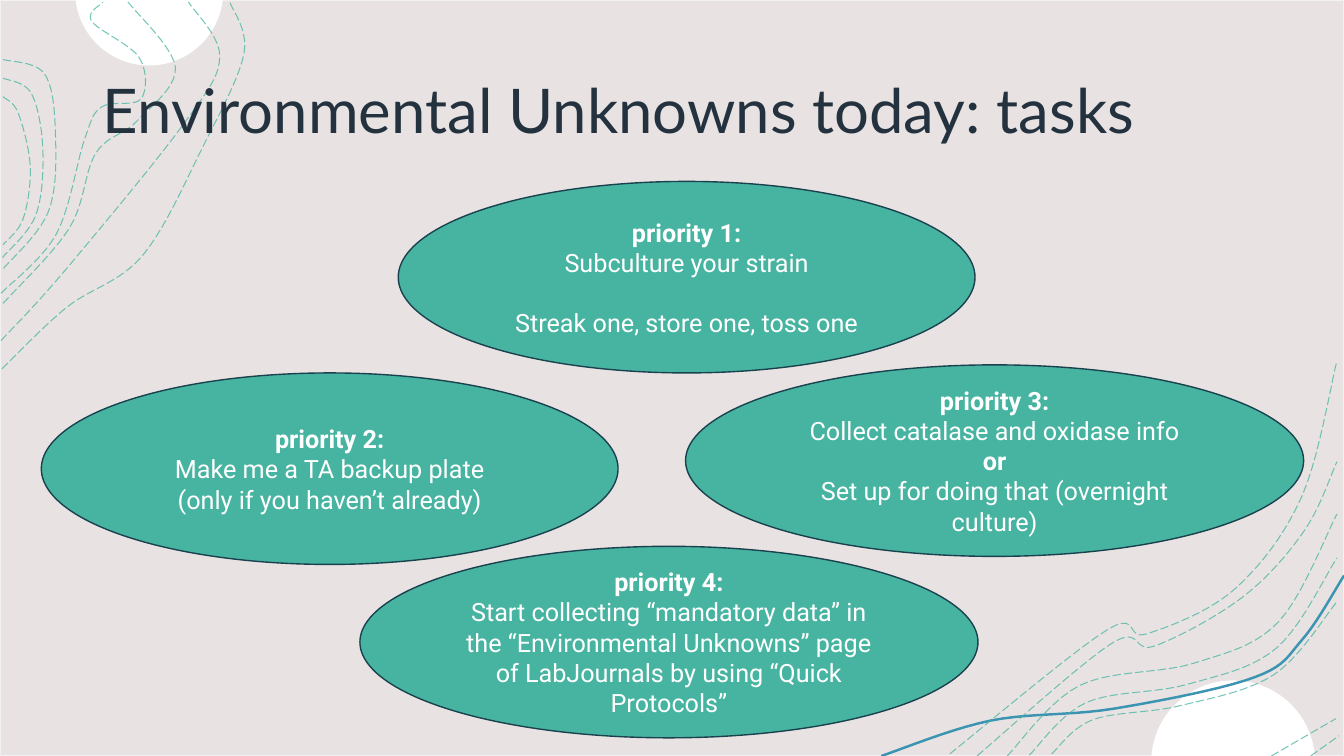
from dataclasses import dataclass
from math import asin, cos, sin

from lxml.etree import SubElement
from pptx import Presentation
from pptx.dml.color import RGBColor
from pptx.enum.dml import MSO_LINE
from pptx.enum.shapes import MSO_SHAPE
from pptx.enum.text import MSO_ANCHOR, PP_ALIGN
from pptx.oxml.ns import qn
from pptx.util import Inches, Pt


@dataclass(frozen=True)
class Theme:
    sand: str = "E8E3E2"
    edge: str = "F2F2F2"
    white: str = "FFFFFF"
    teal: str = "46B4A1"
    deep: str = "1A414E"
    blue: str = "3B94B1"
    ink: str = "23323E"
    head: str = "Lato"
    body: str = "Roboto"
    big: int = 44
    text: int = 18


THEME = Theme()
WIDE, HIGH = 13.33, 7.5

RIBBON = [(8.74, 7.5), (9.82, 7.15), (11.05, 7.03), (12.44, 6.72),
          (12.92, 6.34), (13.33, 5.71)]

HILLS = [
    [(0.02, 3.66), (0.66, 3.05), (1.41, 2.54), (2.01, 1.46), (2.42, 0.53),
     (2.28, 0.02)],
    [(0.01, 3.38), (0.64, 2.69), (1.83, 1.22), (2.18, 0.56), (1.87, 0.02)],
    [(0.03, 3.01), (0.69, 2.26), (0.95, 1.52), (1.36, 1.2), (1.74, 0.67),
     (1.27, 0.02)],
    [(0.01, 2.91), (0.56, 2.32), (0.84, 1.38), (1.01, 1.06), (1.4, 0.98),
     (1.38, 0.57), (0.91, 0.21), (1.02, 0.02)],
]

BANDS = [
    (3, [(0.03, 0.59), (0.44, 0.73), (0.55, 1.32), (0.48, 2.1), (0.02, 2.68)],
     [(0.03, 0.96), (0.18, 1.12), (0.3, 1.65), (0.23, 2.17), (0.03, 2.43)]),
    (2, [(9.42, 7.48), (10.98, 6.25), (11.37, 6.29), (12.24, 5.85),
         (12.91, 4.93), (13.26, 3.58)],
     [(9.69, 7.5), (11.03, 6.38), (11.45, 6.41), (12.33, 5.92),
      (12.94, 5.26), (13.26, 4.58)]),
    (3, [(9.99, 7.5), (10.71, 6.8), (11.84, 6.58), (12.68, 6.17), (13.26, 5.1)],
     [(10.43, 7.48), (10.84, 7.14), (11.71, 7), (12.64, 6.69), (13.26, 5.97)]),
    (2, [(12.61, 7.5), (13.25, 7.13)], [(13, 7.5), (13.28, 7.3)]),
]

TASKS = [
    (3.95, 1.8, 5.72, ["Subculture your strain", "Streak one, store one, toss one"]),
    (0.41, 3.7, 5.72, ["Make me a TA backup plate", "(only if you haven’t already)"]),
    (6.8, 3.62, 6.13, ["Collect catalase and oxidase info", "or",
                       "Set up for doing that (overnight culture)"]),
    (3.57, 5.42, 6.13, ["Start collecting “mandatory data” in the “Environmental "
                        "Unknowns” page of LabJournals by using “Quick Protocols”"]),
]


def color(code):
    return RGBColor.from_string(code)


def paint(shape, fill=None, line=None, width=1):
    shape.shadow.inherit = False
    if fill:
        shape.fill.solid()
        shape.fill.fore_color.rgb = color(fill)
    else:
        shape.fill.background()
    if line:
        shape.line.color.rgb = color(line)
        shape.line.width = Pt(width)
    else:
        shape.line.fill.background()


def smooth(knots, steps=10):
    pts = [knots[0], *knots, knots[-1]]
    curve = [knots[0]]
    for a, b, c, d in zip(pts, pts[1:], pts[2:], pts[3:]):
        for step in range(1, steps + 1):
            t = step / steps
            curve.append(tuple(
                b[i] + t * (c[i] - a[i]) / 2
                + t**2 * (2 * a[i] - 5 * b[i] + 4 * c[i] - d[i]) / 2
                + t**3 * (3 * b[i] - a[i] - 3 * c[i] + d[i]) / 2
                for i in (0, 1)))
    return curve


def blend(count, outer, inner):
    for step in range(count):
        t = step / (count - 1)
        yield [(a + t * (c - a), b + t * (d - b))
               for (a, b), (c, d) in zip(outer, inner)]


def trace(slide, points, close=False):
    dots = [(Inches(x), Inches(y)) for x, y in points]
    form = slide.shapes.build_freeform(*dots[0])
    form.add_line_segments(dots[1:], close=close)
    return form.convert_to_shape()


def add_cap(slide, mid, base, half, rise, way):
    radius = (half**2 + rise**2) / (2 * rise)
    sweep = asin(half / radius)
    turns = [sweep * (i / 20 - 1) for i in range(41)]
    arc = [(mid + radius * sin(t), base + way * (rise - radius + radius * cos(t)))
           for t in turns]
    paint(trace(slide, arc, True), THEME.white)


def add_hill(slide, knots):
    hill = trace(slide, smooth(knots))
    paint(hill, line=THEME.teal, width=0.75)
    hill.line.dash_style = MSO_LINE.LONG_DASH
    tint = hill.line._ln.find(".//" + qn("a:srgbClr"))
    SubElement(tint, qn("a:alpha")).set("val", "75000")


def set_font(para, face, size, code, bold=False):
    para.font.name = face
    para.font.size = Pt(size)
    para.font.color.rgb = color(code)
    para.font.bold = bold


def add_title(slide, text):
    box = slide.shapes.add_textbox(Inches(0.92), Inches(0.4), Inches(11.5), Inches(1.45))
    frame = box.text_frame
    frame.word_wrap = True
    frame.vertical_anchor = MSO_ANCHOR.MIDDLE
    para = frame.paragraphs[0]
    para.text = text
    para.line_spacing = 0.9
    set_font(para, THEME.head, THEME.big, THEME.ink)


def add_task(slide, rank, left, top, width, lines):
    oval = slide.shapes.add_shape(
        MSO_SHAPE.OVAL, Inches(left), Inches(top), Inches(width), Inches(1.9))
    paint(oval, THEME.teal, THEME.deep)
    frame = oval.text_frame
    frame.word_wrap = True
    frame.vertical_anchor = MSO_ANCHOR.MIDDLE
    for i, text in enumerate([f"priority {rank}:", *lines]):
        para = frame.add_paragraph() if i else frame.paragraphs[0]
        para.text = text
        para.alignment = PP_ALIGN.CENTER
        if text.startswith("Streak"):
            para.space_before = Pt(21)
        set_font(para, THEME.body, THEME.text, THEME.white, i == 0 or text == "or")


def main():
    deck = Presentation()
    deck.slide_width, deck.slide_height = Inches(WIDE), Inches(HIGH)
    slide = deck.slides.add_slide(deck.slide_layouts[6])
    back = slide.shapes.add_shape(MSO_SHAPE.RECTANGLE, 0, 0, Inches(WIDE), Inches(HIGH))
    paint(back, THEME.sand, THEME.edge)
    add_cap(slide, 1.48, 0, 0.73, 0.65, 1)
    add_cap(slide, 12.23, HIGH, 0.81, 0.75, -1)
    paint(trace(slide, smooth(RIBBON)), line=THEME.blue, width=1.75)
    for knots in HILLS:
        add_hill(slide, knots)
    for band in BANDS:
        for knots in blend(*band):
            add_hill(slide, knots)
    add_title(slide, "Environmental Unknowns today: tasks")
    for rank, task in enumerate(TASKS, 1):
        add_task(slide, rank, *task)
    deck.save("out.pptx")


if __name__ == "__main__":
    main()
